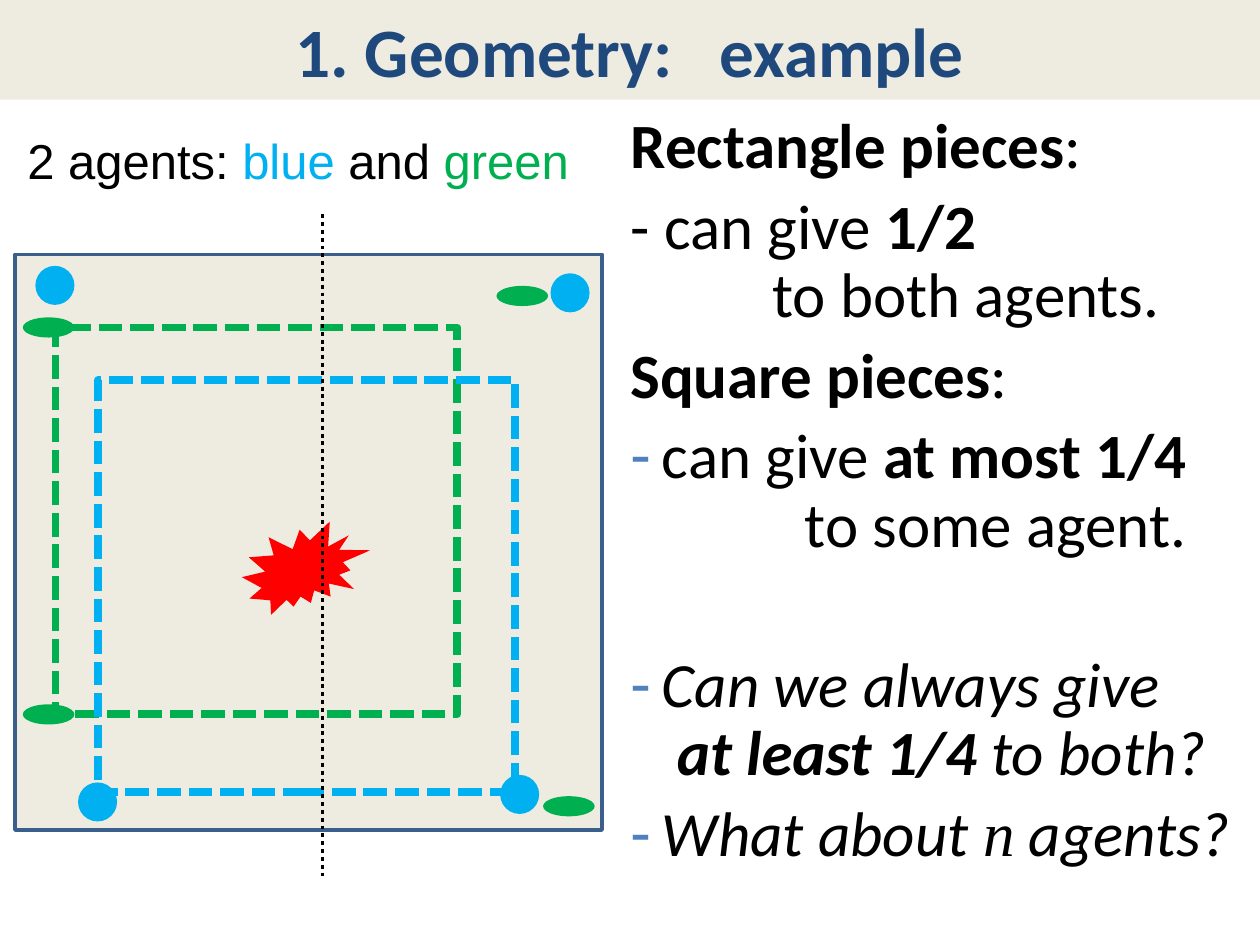
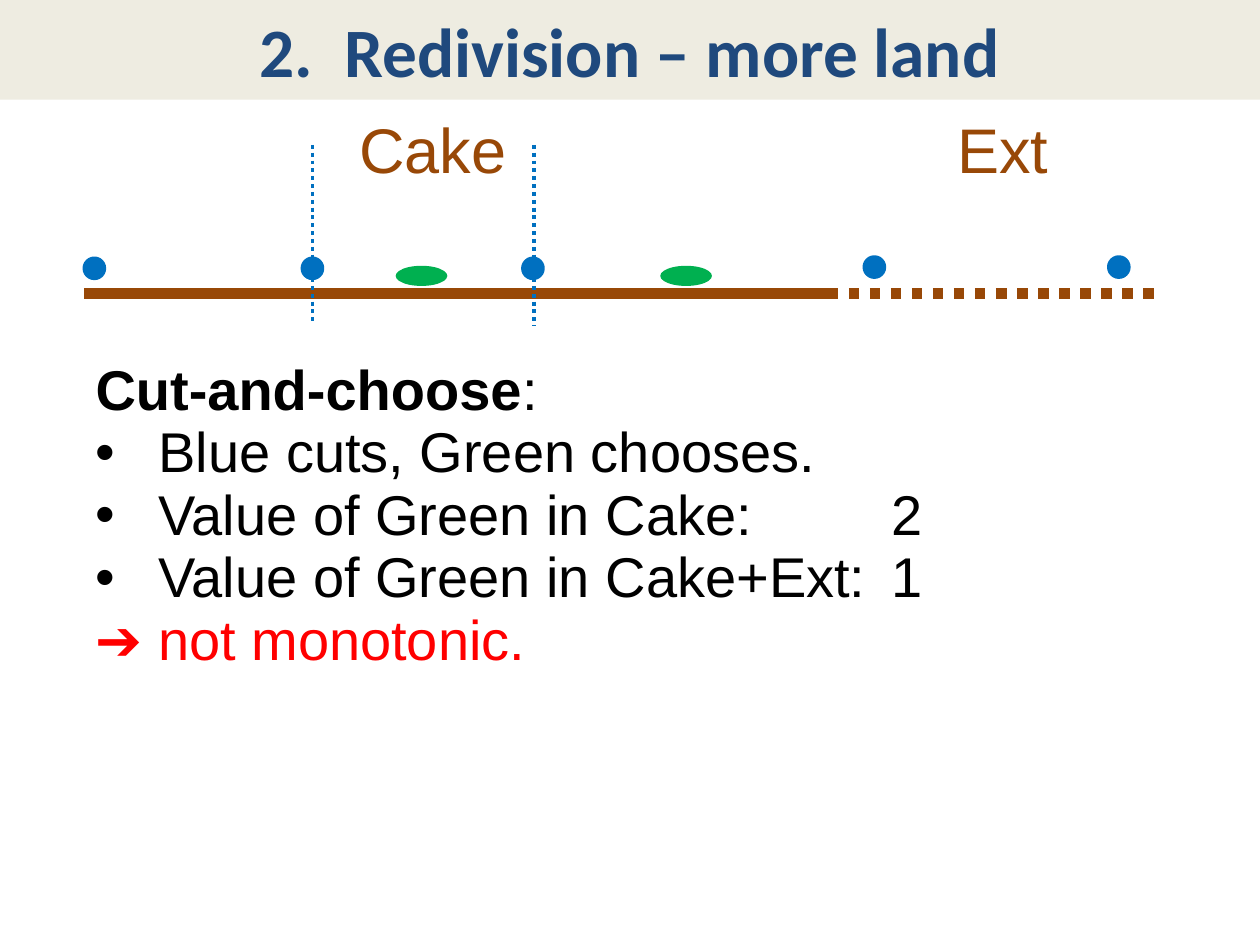
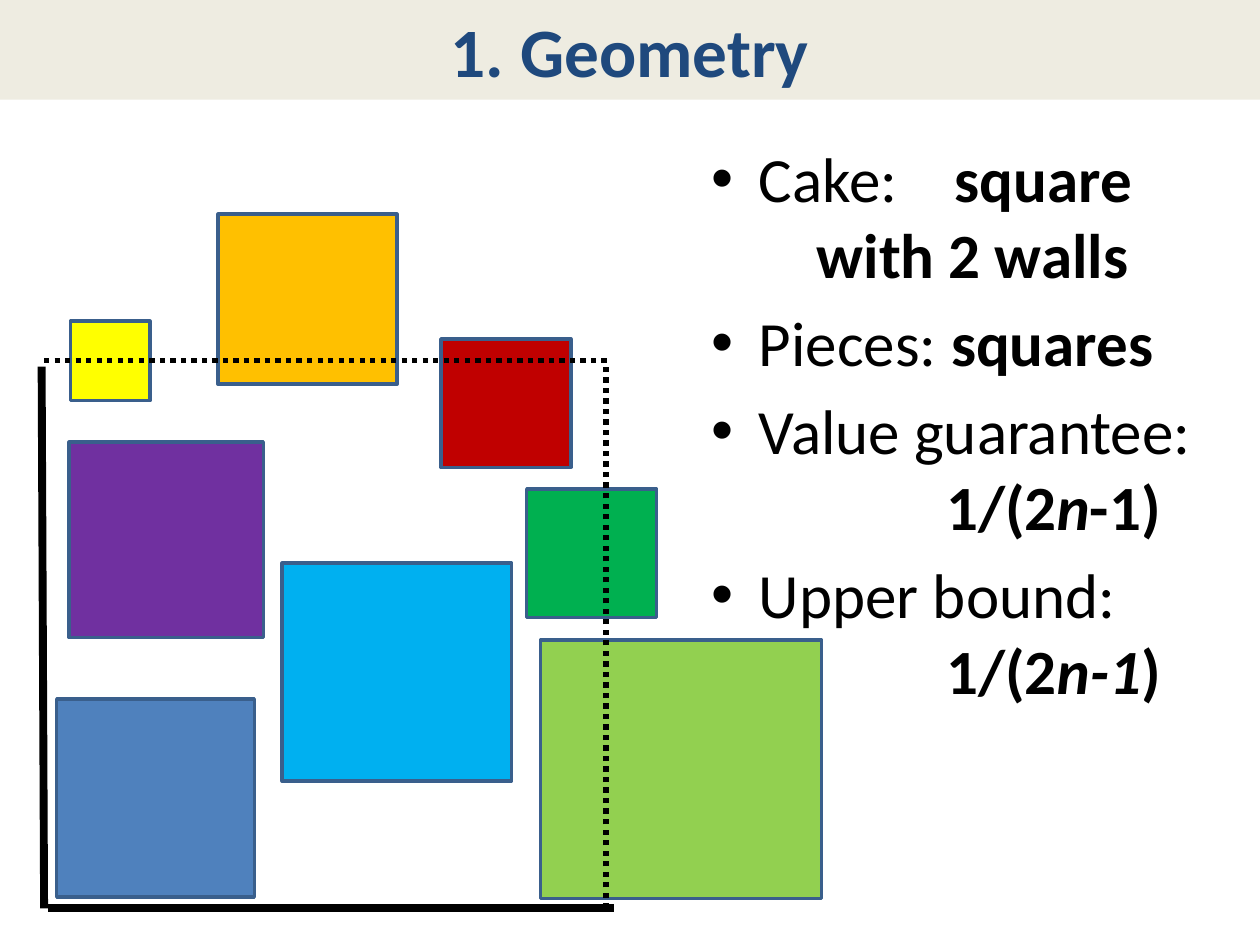
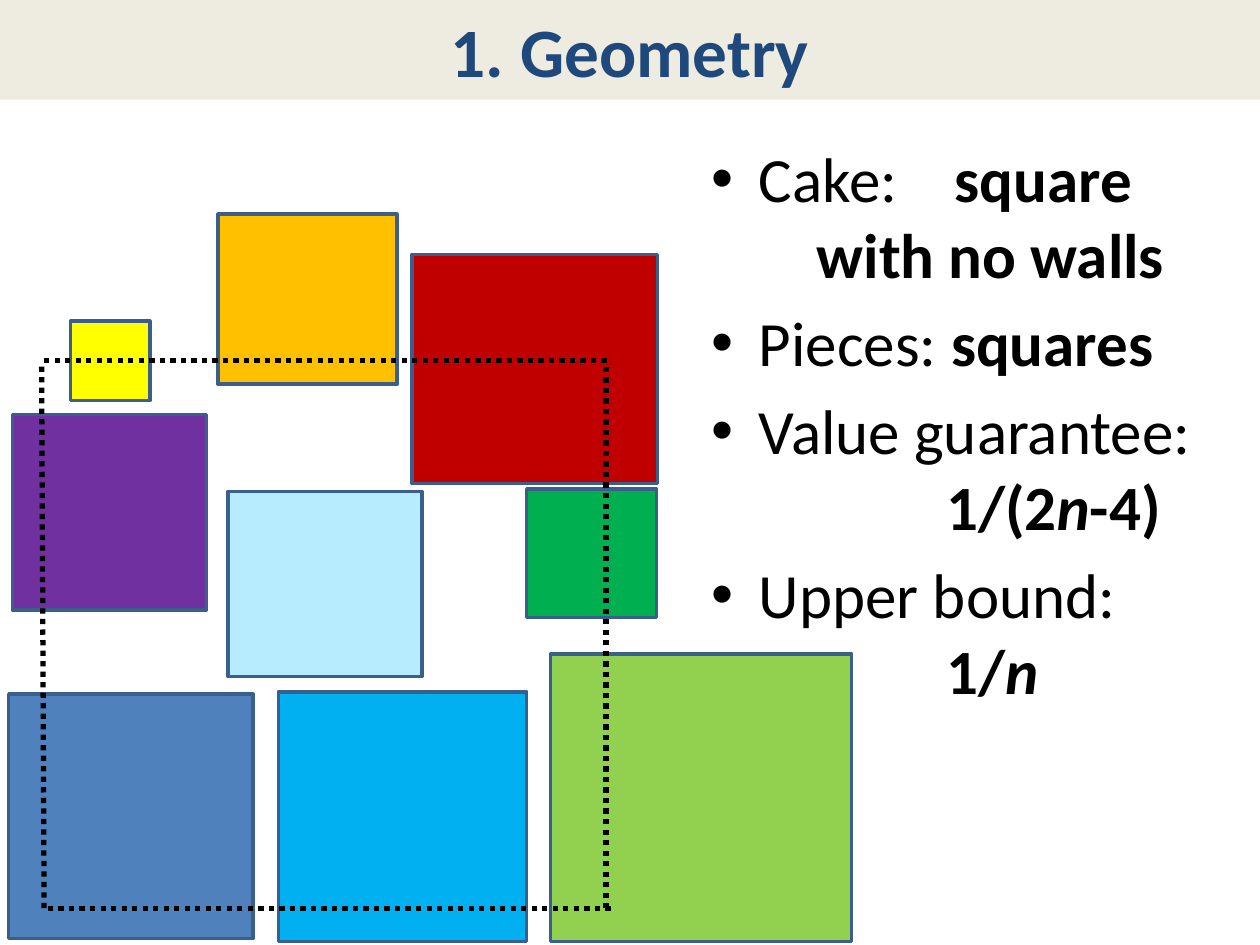
from dataclasses import dataclass
from lxml.etree import SubElement
from pptx import Presentation
from pptx.dml.color import RGBColor
from pptx.enum.dml import MSO_LINE as Dash
from pptx.enum.shapes import MSO_CONNECTOR as Link, MSO_SHAPE as Form
from pptx.enum.text import MSO_ANCHOR as Anchor, PP_ALIGN as Align
from pptx.oxml.ns import qn
from pptx.util import Pt

BLACK = RGBColor(0x00, 0x00, 0x00)
BEIGE = RGBColor(0xEE, 0xEC, 0xE1)
NAVY = RGBColor(0x1F, 0x49, 0x7D)
EDGE = RGBColor(0x3A, 0x5F, 0x8C)
STEEL = RGBColor(0x4F, 0x81, 0xBD)
SKY = RGBColor(0x00, 0xB0, 0xF0)
PALE = RGBColor(0xB7, 0xEC, 0xFF)
BLUE = RGBColor(0x00, 0x70, 0xC0)
GREEN = RGBColor(0x00, 0xB0, 0x50)
LIME = RGBColor(0x92, 0xD0, 0x50)
RED = RGBColor(0xFF, 0x00, 0x00)
CRIMSON = RGBColor(0xC0, 0x00, 0x00)
AMBER = RGBColor(0xFF, 0xC0, 0x00)
YELLOW = RGBColor(0xFF, 0xFF, 0x00)
PURPLE = RGBColor(0x70, 0x30, 0xA0)
BROWN = RGBColor(0x98, 0x48, 0x07)

HEADING_FONT = "Calibri"
LABEL_FONT = "Arial"
MATH_FONT = "Times New Roman"
GAP = 7.2


@dataclass
class Span:
    text: str
    bold: bool = None
    italic: bool = None
    color: RGBColor = None
    font: str = None


@dataclass
class Line:
    spans: list
    margin: float = 0
    hang: float = 0
    bullet: str = ""
    bullet_color: RGBColor = BLACK
    tab: float = 0
    before: float = 0
    italic: bool = None
    color: RGBColor = BLACK


class Deck:
    def __init__(self):
        self.file = Presentation()
        self.file.slide_width, self.file.slide_height = Pt(720), Pt(540)
        self.page = None

    def add_page(self, title):
        self.page = self.file.slides.add_slide(self.file.slide_layouts[6])
        band = self.shape(Form.RECTANGLE, 0, 0, 720, 56.9, BEIGE)
        frame = band.text_frame
        frame.vertical_anchor = Anchor.MIDDLE
        para = frame.paragraphs[0]
        para.alignment = Align.CENTER
        para.add_run().text = title
        self.style(para.font, HEADING_FONT, 39.6, NAVY)
        para.font.bold = True

    def style(self, font, name, size, color):
        font.name, font.size = name, Pt(size)
        font.color.rgb = color

    def stroke(self, line, color, width, dash=None):
        line.color.rgb, line.width = color, Pt(width)
        if dash is not None:
            line.dash_style = dash

    def shape(self, form, left, top, width, height, fill=None, line=None, weight=2, dash=None):
        shape = self.page.shapes.add_shape(form, Pt(left), Pt(top), Pt(width), Pt(height))
        shape.shadow.inherit = False
        if fill is None:
            shape.fill.background()
        else:
            shape.fill.solid()
            shape.fill.fore_color.rgb = fill
        if line is None:
            shape.line.fill.background()
        else:
            self.stroke(shape.line, line, weight, dash)
        return shape

    def piece(self, left, top, width, height, fill):
        self.shape(Form.RECTANGLE, left, top, width, height, fill, EDGE)

    def agents(self, spots, width, height, fill, line=None):
        for left, top in spots:
            self.shape(Form.OVAL, left, top, width, height, fill, line)

    def line(self, x1, y1, x2, y2, color, width, dash=None):
        link = self.page.shapes.add_connector(Link.STRAIGHT, Pt(x1), Pt(y1), Pt(x2), Pt(y2))
        SubElement(link._element.spPr, qn("a:effectLst"))
        self.stroke(link.line, color, width, dash)

    def text(self, left, top, width, height, lines, font, size, spacing=1.0, align=None, wrap=True):
        box = self.page.shapes.add_textbox(Pt(left), Pt(top), Pt(width), Pt(height))
        frame = box.text_frame
        frame.word_wrap = wrap
        for index, line in enumerate(lines):
            para = frame.add_paragraph() if index else frame.paragraphs[0]
            self.indent(para, line)
            para.alignment, para.line_spacing = align, spacing
            para.space_before = Pt(line.before if index else 0)
            self.style(para.font, font, size, line.color)
            para.font.italic = line.italic
            for span in line.spans:
                self.span(para, span)

    def indent(self, para, line):
        props = para._p.get_or_add_pPr()
        props.set("marL", str(Pt(line.margin)))
        props.set("indent", str(-Pt(line.hang)))
        if line.bullet:
            tint = SubElement(SubElement(props, qn("a:buClr")), qn("a:srgbClr"))
            tint.set("val", str(line.bullet_color))
            SubElement(props, qn("a:buFont")).set("typeface", LABEL_FONT)
            SubElement(props, qn("a:buChar")).set("char", line.bullet)
        else:
            SubElement(props, qn("a:buNone"))
        if line.tab:
            stop = SubElement(SubElement(props, qn("a:tabLst")), qn("a:tab"))
            stop.set("pos", str(Pt(line.tab)))
            stop.set("algn", "l")

    def span(self, para, span):
        run = para.add_run()
        run.text = span.text
        if span.bold:
            run.font.bold = True
        if span.italic:
            run.font.italic = True
        if span.font:
            run.font.name = span.font
        if span.color is not None:
            run.font.color.rgb = span.color


def bold(text):
    return Span(text, bold=True)


def bold_italic(text):
    return Span(text, bold=True, italic=True)


def dashed(*spans, before=GAP, italic=None):
    return Line(spans, 27, 18, "-", STEEL, before=before, italic=italic)


def dotted(*spans, margin=27, before=GAP, tab=0):
    return Line(spans, margin, margin, "•", before=before, tab=tab)


def example_page(deck):
    deck.add_page("1. Geometry:   example")
    deck.piece(8.6, 145.4, 335.5, 329, BEIGE)
    deck.text(344.2, 61.9, 367.2, 469.4, [
        Line([bold("Rectangle pieces"), Span(":")], 9),
        Line([Span("- can give "), bold("1/2")], 9, before=GAP),
        Line([Span("to both agents.")], 90),
        Line([bold("Square pieces"), Span(":")], 9, before=GAP),
        dashed(Span("can give "), bold("at most 1/4")),
        Line([Span("to some agent.")], 108.5),
        dashed(Span("Can we always give"), before=53, italic=True),
        Line([bold("at least 1/4"), Span(" to both?")], 35.5, italic=True),
        dashed(Span("What about "), Span("n", font=MATH_FONT), Span(" agents?"), italic=True),
    ], HEADING_FONT, 36, 0.9)
    for color, place in ((GREEN, (31.7, 187.2, 229.7, 221)), (SKY, (56.2, 217.4, 238.3, 235.4))):
        deck.shape(Form.RECTANGLE, *place, line=color, weight=4.5, dash=Dash.SQUARE_DOT)
    deck.shape(Form.EXPLOSION2, 138.2, 298.1, 73.4, 53.3, RED)
    deck.agents([(314.6, 156.2), (20.2, 151.9), (285.8, 442.8), (44.6, 447.1)], 22.3, 22.3, SKY)
    deck.agents([(283.7, 163.4), (13, 181.4), (310.3, 455), (13, 402.5)], 29.5, 11.5, GREEN)
    deck.line(184.3, 122.4, 184.3, 502.6, BLACK, 2.25, Dash.ROUND_DOT)
    agents = [Span("2 agents: "), Span("blue", color=SKY), Span(" and "), Span("green", color=GREEN)]
    deck.text(8.6, 74.2, 328.3, 38.9, [Line(agents)], LABEL_FONT, 28, 0.93, wrap=False)


def redivision_page(deck):
    deck.add_page("2.  Redivision – more land")
    deck.line(48.2, 167.8, 473, 167.8, BROWN, 6)
    deck.line(473, 167.8, 660.2, 167.8, BROWN, 6, Dash.ROUND_DOT)
    for name, left, width in (("Cake", 195.8, 103), ("Ext", 509.8, 126.7)):
        label = Line([Span(name)], color=BROWN)
        deck.text(left, 63.4, width, 47.5, [label], LABEL_FONT, 36, 0.93, Align.CENTER)
    deck.text(47.5, 202.3, 613.4, 187.9, [
        Line([bold("Cut-and-choose"), Span(":")]),
        dotted(Span("Blue cuts, Green chooses."), margin=36, before=0),
        dotted(Span("Value of Green in Cake:\t2"), margin=36, before=0, tab=455),
        dotted(Span("Value of Green in Cake+Ext:\t1"), margin=36, before=0, tab=455),
        Line([Span("➔ not monotonic.")], color=RED),
    ], LABEL_FONT, 32, 0.93)
    cake_spots = [(left, 147.6) for left in (48.2, 172.8, 298.8)]
    extension_spots = [(left, 146.9) for left in (493.9, 633.6)]
    deck.agents(cake_spots + extension_spots, 11.5, 11.5, BLUE, BLUE)
    deck.agents([(226.1, 151.9), (377.3, 151.9)], 29.5, 11.5, GREEN)
    for x, bottom in ((178.6, 185), (305.3, 186.5)):
        deck.line(x, 82.8, x, bottom, BLUE, 2.25, Dash.ROUND_DOT)


def walls_page(deck, walls, guarantee, bound, pieces, wall_width, wall_dash):
    deck.add_page("1. Geometry")
    deck.text(399.6, 76.3, 306.7, 317.5, [
        dotted(Span("Cake:\t"), bold("square"), tab=139),
        Line([bold(walls)], 60),
        dotted(Span("Pieces: "), bold("squares")),
        dotted(Span("Value guarantee:")),
        Line(guarantee, 134),
        dotted(Span("Upper bound:")),
        Line(bound, 134),
    ], HEADING_FONT, 36)
    shared = [
        (40.3, 183.6, 45.4, 45.4, YELLOW),
        (124.6, 122.4, 102.2, 97.2, AMBER),
        (301, 279.4, 74.2, 73.4, GREEN),
    ]
    for piece in shared + pieces:
        deck.piece(*piece)
    deck.line(25.2, 205.9, 348.5, 205.9, BLACK, 3, Dash.ROUND_DOT)
    deck.line(346.3, 519.1, 346.3, 209.5, BLACK, 3, Dash.ROUND_DOT)
    deck.line(27.4, 519.1, 350.6, 519.1, BLACK, wall_width, wall_dash)
    deck.line(23.8, 209.5, 25.2, 519.1, BLACK, wall_width, wall_dash)


def main():
    deck = Deck()
    example_page(deck)
    redivision_page(deck)
    walls_page(
        deck, "with 2 walls",
        [bold("1/(2"), bold_italic("n"), bold("-1)")],
        [bold("1/(2"), bold_italic("n-1"), bold(")")],
        [
            (308.9, 365.8, 160.6, 147.6, LIME),
            (32.4, 399.6, 113, 113, STEEL),
            (252, 193.7, 74.2, 73.4, CRIMSON),
            (39.6, 252.7, 110.9, 111.6, PURPLE),
            (161.3, 321.8, 131, 124.6, SKY),
        ], 4.5, None)
    walls_page(
        deck, "with no walls",
        [bold("1/(2"), bold_italic("n"), bold("-4)")],
        [bold("1/"), bold_italic("n")],
        [
            (314.6, 373.7, 172.1, 164.2, LIME),
            (5, 396.7, 139.7, 139.7, STEEL),
            (235.4, 145.4, 140.4, 131, CRIMSON),
            (7.2, 236.9, 110.9, 111.6, PURPLE),
            (159.1, 395.3, 141.8, 142.6, SKY),
            (130.3, 280.8, 110.9, 105.8, PALE),
        ], 3, Dash.ROUND_DOT)
    deck.file.save("out.pptx")


if __name__ == "__main__":
    main()
